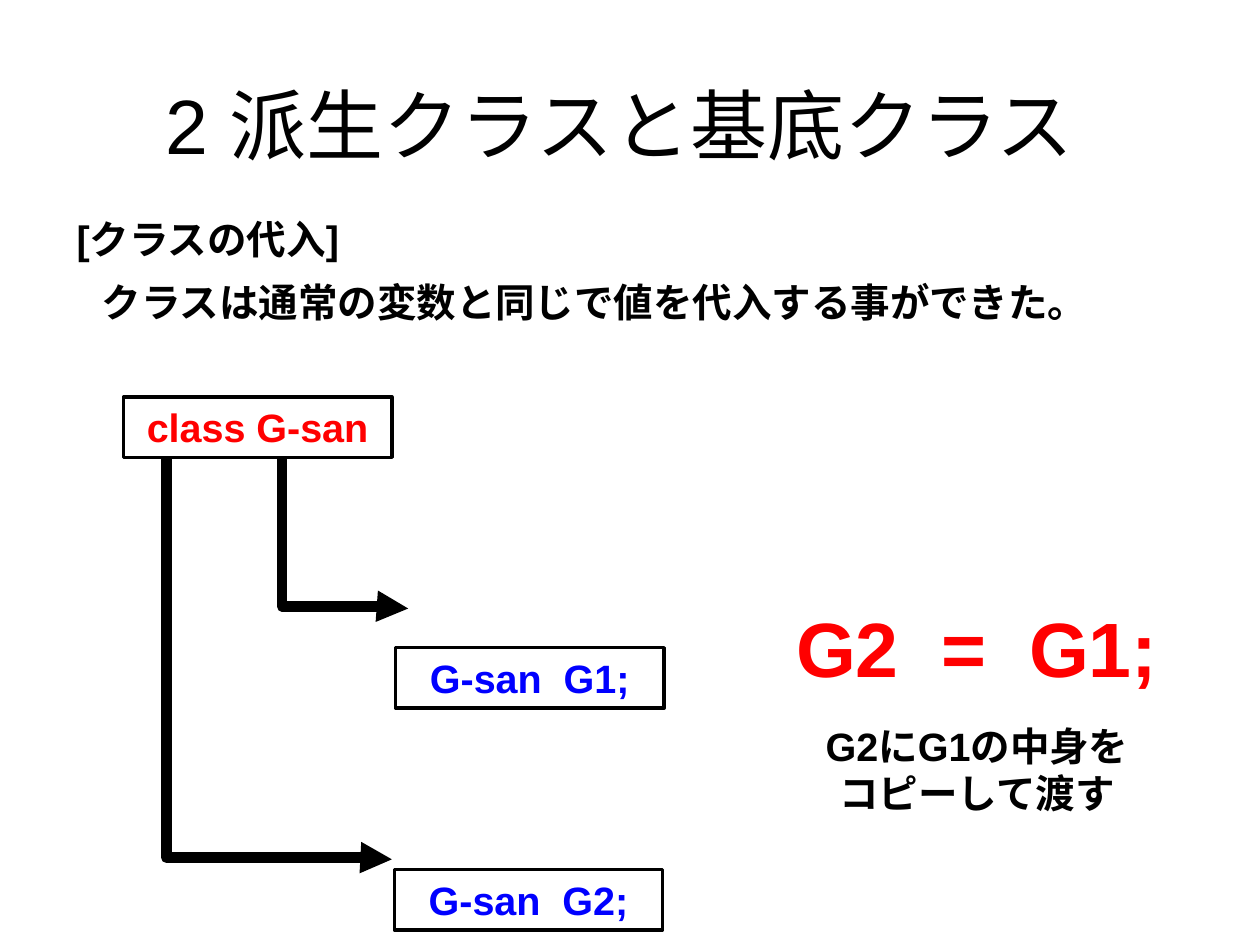
from dataclasses import dataclass

from lxml.etree import SubElement
from pptx import Presentation
from pptx.dml.color import RGBColor
from pptx.enum.shapes import MSO_CONNECTOR, MSO_SHAPE
from pptx.enum.text import MSO_ANCHOR, MSO_AUTO_SIZE, PP_ALIGN
from pptx.oxml.ns import qn
from pptx.util import Inches, Pt

BLACK = RGBColor(0, 0, 0)
WHITE = RGBColor(255, 255, 255)
RED = RGBColor(255, 0, 0)
BLUE = RGBColor(0, 0, 255)
BODY_SIZE = 22.6
TITLE_SIZE = 44
BOX_WIDTH = 2.13
LINE_HEIGHT = 0.48


@dataclass(frozen=True)
class Label:
    text: str
    left: float
    top: float
    width: float
    height: float = LINE_HEIGHT
    size: float = BODY_SIZE
    color: RGBColor = BLACK
    bold: bool = True
    align: PP_ALIGN = PP_ALIGN.CENTER
    anchor: MSO_ANCHOR = MSO_ANCHOR.TOP


@dataclass(frozen=True)
class ClassBox:
    text: str
    left: float
    top: float
    color: RGBColor


@dataclass(frozen=True)
class Elbow:
    start_x: float
    start_y: float
    end_x: float
    end_y: float
    bend: float


LABELS = [
    Label("2 派生クラスと基底クラス", 0.67, 0.51, 8.5, 0.95, size=TITLE_SIZE,
          bold=False, anchor=MSO_ANCHOR.MIDDLE),
    Label("[クラスの代入]", 0.51, 1.66, 3.86, align=PP_ALIGN.LEFT),
    Label("クラスは通常の変数と同じで値を代入する事ができた。", 0.71, 2.16, 9.29,
          align=PP_ALIGN.LEFT),
    Label("G2  =  G1;", 6.09, 4.72, 3.33, 0.84, size=TITLE_SIZE, color=RED),
    Label("G2にG1の中身を\nコピーして渡す", 6.18, 5.68, 3.15, 0.86),
]
ELBOWS = [
    Elbow(2.24, 3.63, 3.24, 4.83, 0.986),
    Elbow(1.32, 3.63, 3.11, 6.82, 0.996),
]
CLASS_BOXES = [
    ClassBox("class G-san", 0.98, 3.15, RED),
    ClassBox("G-san  G1;", 3.14, 5.14, BLUE),
    ClassBox("G-san  G2;", 3.13, 6.9, BLUE),
]


def write_text(frame, text: str, *, size: float = BODY_SIZE,
               color: RGBColor = BLACK, bold: bool = True,
               align: PP_ALIGN = PP_ALIGN.CENTER,
               anchor: MSO_ANCHOR = MSO_ANCHOR.TOP) -> None:
    frame.word_wrap = True
    frame.auto_size = MSO_AUTO_SIZE.NONE
    frame.vertical_anchor = anchor
    para = frame.paragraphs[0]
    para.text = text.replace("\n", "\v")
    para.alignment = align
    for span in para.runs:
        span.font.name = "Arial"
        span.font.size = Pt(size)
        span.font.bold = bold
        span.font.color.rgb = color


def draw_label(page, label: Label) -> None:
    box = page.shapes.add_textbox(Inches(label.left), Inches(label.top),
                                  Inches(label.width), Inches(label.height))
    write_text(box.text_frame, label.text, size=label.size, color=label.color,
               bold=label.bold, align=label.align, anchor=label.anchor)


def draw_class_box(page, item: ClassBox) -> None:
    box = page.shapes.add_shape(MSO_SHAPE.RECTANGLE, Inches(item.left), Inches(item.top),
                                Inches(BOX_WIDTH), Inches(LINE_HEIGHT))
    box.shadow.inherit = False
    box.fill.solid()
    box.fill.fore_color.rgb = WHITE
    box.line.color.rgb = BLACK
    box.line.width = Pt(2)
    write_text(box.text_frame, item.text, color=item.color)


def draw_elbow(page, elbow: Elbow) -> None:
    center_x = (elbow.start_x + elbow.end_x) / 2
    center_y = (elbow.start_y + elbow.end_y) / 2
    half_width = (elbow.end_y - elbow.start_y) / 2
    half_height = (elbow.end_x - elbow.start_x) / 2
    connector = page.shapes.add_connector(
        MSO_CONNECTOR.ELBOW,
        Inches(center_x + half_width), Inches(center_y - half_height),
        Inches(center_x - half_width), Inches(center_y + half_height))
    connector.line.color.rgb = BLACK
    connector.line.width = Pt(6)
    properties = connector.element.spPr
    properties.find(qn("a:xfrm")).set("rot", str(270 * 60000))
    adjustments = properties.find(qn("a:prstGeom")).find(qn("a:avLst"))
    SubElement(adjustments, qn("a:gd"), name="adj1", fmla=f"val {round(elbow.bend * 100000)}")
    SubElement(properties.find(qn("a:ln")), qn("a:tailEnd"), type="triangle")
    SubElement(properties, qn("a:effectLst"))


def main() -> None:
    deck = Presentation()
    deck.slide_width, deck.slide_height = Inches(10), Inches(7.5)
    page = deck.slides.add_slide(deck.slide_layouts[6])
    for label in LABELS:
        draw_label(page, label)
    for elbow in ELBOWS:
        draw_elbow(page, elbow)
    for item in CLASS_BOXES:
        draw_class_box(page, item)
    deck.save("out.pptx")


if __name__ == "__main__":
    main()
